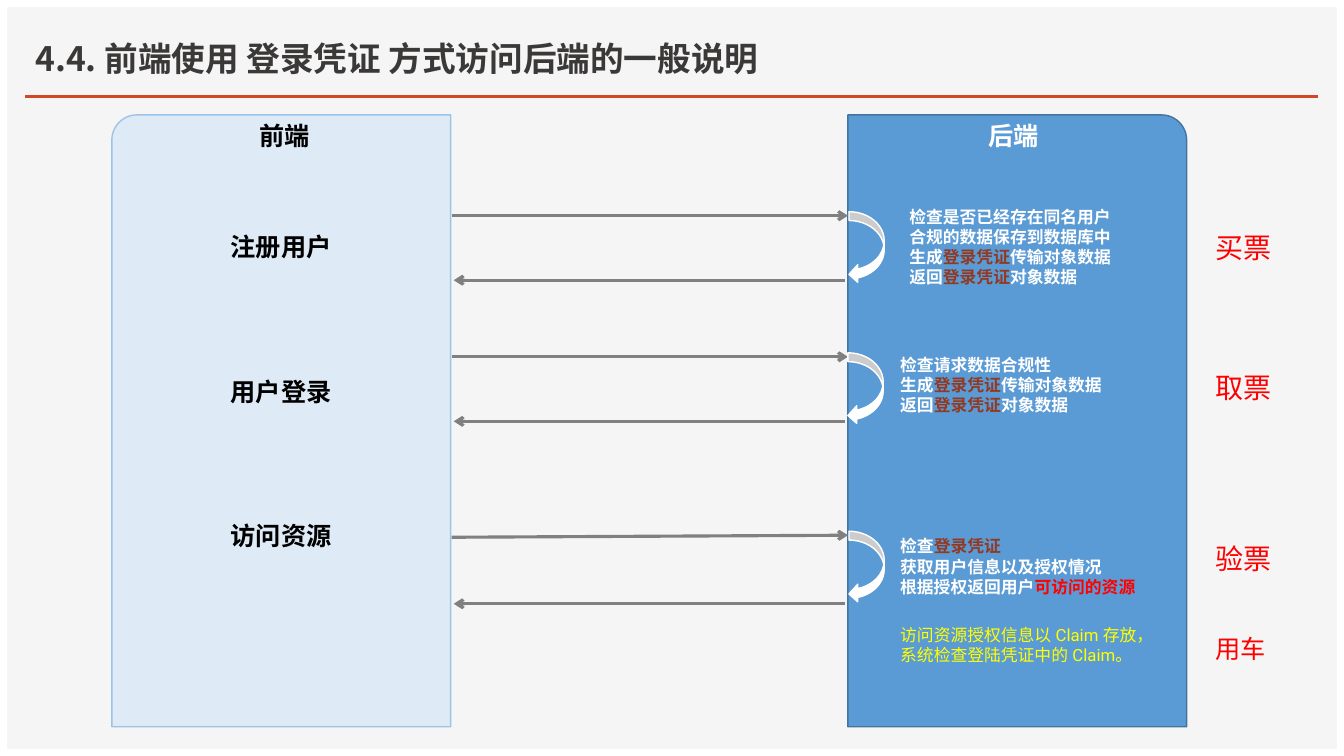
from lxml import etree
from pptx import Presentation
from pptx.dml.color import RGBColor
from pptx.enum.shapes import MSO_CONNECTOR, MSO_SHAPE as SHAPE
from pptx.enum.text import MSO_ANCHOR as ANCHOR, MSO_AUTO_SIZE as AUTO, PP_ALIGN as ALIGN
from pptx.oxml.ns import qn
from pptx.util import Inches, Pt

WHITE, BLACK, RED, BROWN, YELLOW = "FFFFFF", "000000", "FF0000", "923922", "FFFF00"
GRAY = "808080"
CJK, LATIN = "Noto Sans CJK SC", "Roboto"


def color(hex_value):
    return RGBColor.from_string(hex_value)


class FlowSlide:
    """Holds the slide and the shared text style."""

    def __init__(self, slide):
        self.slide = slide
        self.style = {"name": LATIN, "size": Pt(18), "bold": False}

    def fill_text(self, frame, lines, hue, align=ALIGN.LEFT, **changes):
        """Each line is a string or a list of (text, colour) pieces."""
        for index, line in enumerate(lines):
            paragraph = frame.paragraphs[0] if index == 0 else frame.add_paragraph()
            paragraph.alignment = align
            for text, piece_hue in [(line, hue)] if isinstance(line, str) else line:
                run = paragraph.add_run()
                run.text = text
                for key, value in {**self.style, **changes}.items():
                    setattr(run.font, key, value)
                run.font.color.rgb = color(piece_hue)
                east_asian = etree.SubElement(run.font._element, qn("a:ea"))
                east_asian.set("typeface", run.font.name)

    def title(self, text, box):
        holder = self.slide.shapes.title
        for key, value in zip(("left", "top", "width", "height"), box):
            setattr(holder, key, Inches(value))
        frame = holder.text_frame
        layout = {"vertical_anchor": ANCHOR.BOTTOM, "word_wrap": True, "auto_size": AUTO.NONE}
        for key, value in layout.items():
            setattr(frame, key, value)
        self.fill_text(frame, [text], "3B3838", name=CJK, size=Pt(24), bold=True)
        frame.paragraphs[0].line_spacing = 0.9

    def shape(self, kind, box, fill, line=None):
        shape = self.slide.shapes.add_shape(kind, *map(Inches, box))
        shape.shadow.inherit = False
        shape.fill.solid()
        shape.fill.fore_color.rgb = color(fill)
        if line:
            shape.line.color.rgb = color(line)
            shape.line.width = Pt(1)
        else:
            shape.line.fill.background()
        return shape

    def panel(self, heading, left, fill, line, hue, font, mirrored=False):
        panel = self.shape(SHAPE.ROUND_1_RECTANGLE, (left, 1.14, 3.36, 6.07), fill, line)
        panel.adjustments[0] = 0.074
        if mirrored:
            panel._element.spPr.xfrm.set("flipH", "1")
        panel.text_frame.vertical_anchor = ANCHOR.TOP
        self.fill_text(panel.text_frame, [heading], hue, ALIGN.CENTER, name=font, bold=True)

    def line(self, start, end, hue, width, arrow=False):
        points = map(Inches, (*start, *end))
        line = self.slide.shapes.add_connector(MSO_CONNECTOR.STRAIGHT, *points)
        line.line.color.rgb = color(hue)
        line.line.width = Pt(width)
        if arrow:
            etree.SubElement(line.line._get_or_add_ln(), qn("a:tailEnd")).set("type", "arrow")
        etree.SubElement(line._element.spPr, qn("a:effectLst"))

    def text(self, box, lines, hue, wrap=True, **changes):
        frame = self.slide.shapes.add_textbox(*map(Inches, box)).text_frame
        frame.word_wrap = wrap
        frame.auto_size = AUTO.SHAPE_TO_FIT_TEXT
        self.fill_text(frame, lines, hue, **changes)


def with_token(before, after=""):
    """A line that highlights the login credential."""
    pieces = [(before, WHITE), ("登录凭证", BROWN), (after, WHITE)]
    return [piece for piece in pieces if piece[0]]


ISSUE_TOKEN = [with_token("生成", "传输对象数据"), with_token("返回", "对象数据")]

# action, request start and end, reply, loop arrow, explanation box and lines,
# ticket label with its top and height
STEPS = [
    ("注册用户", 2.14, 2.14, 2.78, (8.42, 2.1), (8.92, 2, 2.22, 0.91),
     ["检查是否已经存在同名用户", "合规的数据保存到数据库中", *ISSUE_TOKEN],
     "买票", 2.24, 0.44),
    ("用户登录", 3.54, 3.54, 4.18, (8.41, 3.5), (8.83, 3.47, 2.22, 0.71),
     ["检查请求数据合规性", *ISSUE_TOKEN],
     "取票", 3.63, 0.44),
    ("访问资源", 5.33, 5.31, 5.99, (8.42, 5.27), (8.83, 5.27, 2.56, 0.71),
     [with_token("检查"), "获取用户信息以及授权情况",
      [("根据授权返回用户", WHITE), ("可访问的资源", RED)]],
     "验票", 5.32, 1.11),
]


def main():
    deck = Presentation()
    deck.slide_width, deck.slide_height = Inches(13.33), Inches(7.5)
    flow = FlowSlide(deck.slides.add_slide(deck.slide_layouts[5]))

    backdrop = flow.shape(SHAPE.RECTANGLE, (0.07, 0.07, 13.19, 7.36), "F5F5F5")
    flow.slide.shapes.title._element.addprevious(backdrop._element)
    flow.title("4.4. 前端使用 登录凭证 方式访问后端的一般说明", (0.25, 0.13, 12.77, 0.7))
    flow.line((0.25, 0.96), (13.07, 0.96), "D24726", 2)

    flow.panel("前端", 1.11, "DEEBF7", "9DC3E6", BLACK, LATIN, mirrored=True)
    flow.panel("后端", 8.41, "5B9BD5", "43739E", WHITE, CJK)

    for row, step in enumerate(STEPS):
        (action, sent, received, reply, loop, box, lines,
         ticket, ticket_top, ticket_height) = step
        flow.text((2.19, 2.25 + 1.43 * row, 1.21, 0.4), [action], BLACK, wrap=False, bold=True)
        flow.line((4.48, sent), (8.41, received), GRAY, 2.25, arrow=True)
        flow.line((8.38, reply), (4.5, reply), GRAY, 2.25, arrow=True)
        flow.shape(SHAPE.CURVED_LEFT_ARROW, (*loop, 0.35, 0.71), WHITE, WHITE)
        flow.text(box, lines, WHITE, wrap=False, size=Pt(12), bold=True)
        flow.text((11.96, ticket_top, 0.76, ticket_height), [ticket], RED, size=Pt(20))

    flow.text((8.83, 6.15, 2.61, 0.5),
              ["访问资源授权信息以 Claim 存放，", "系统检查登陆凭证中的 Claim。"],
              YELLOW, size=Pt(12))
    flow.text((11.96, 6.23, 0.77, 0.4), ["用车"], RED)
    deck.save("out.pptx")


if __name__ == "__main__":
    main()
